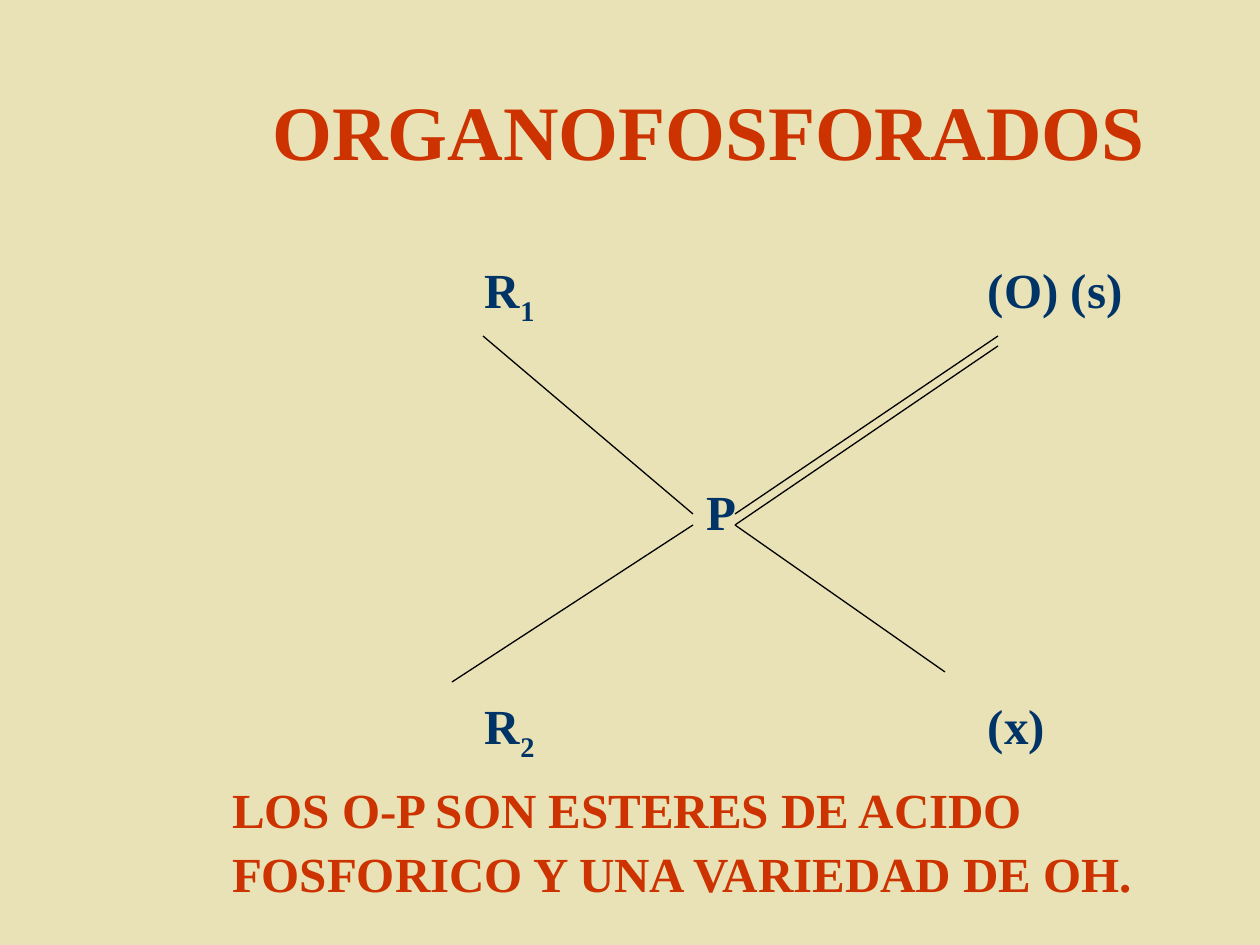
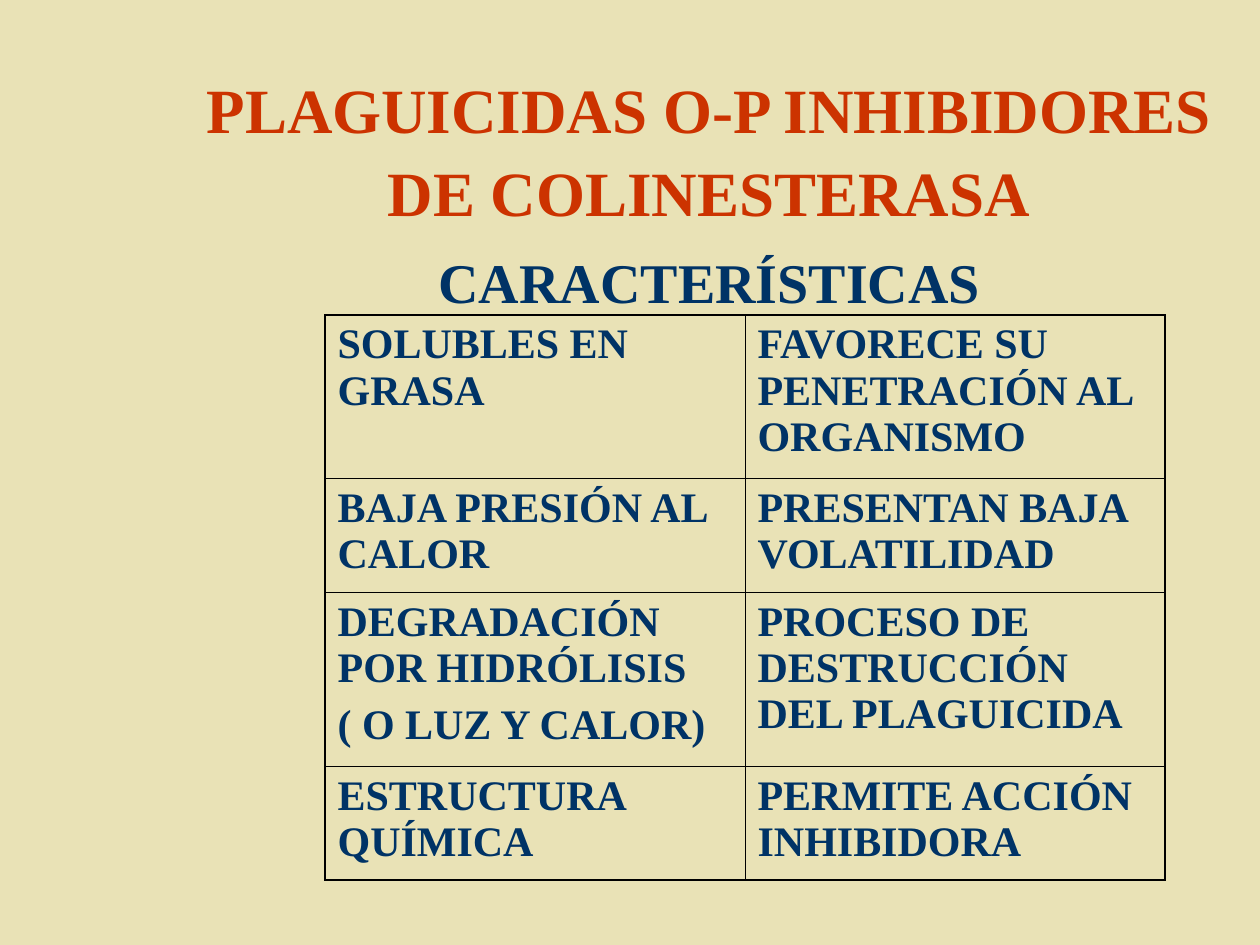
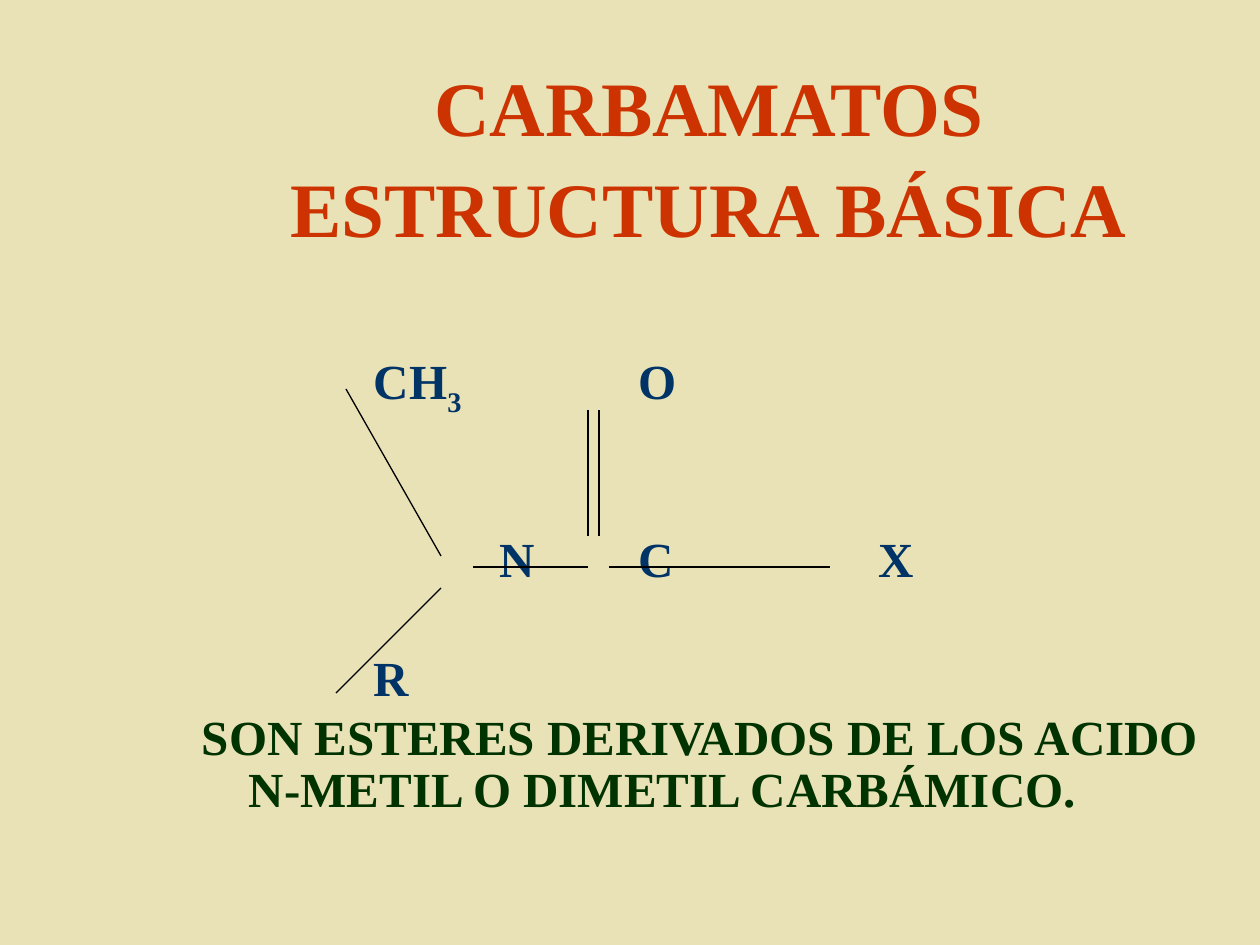
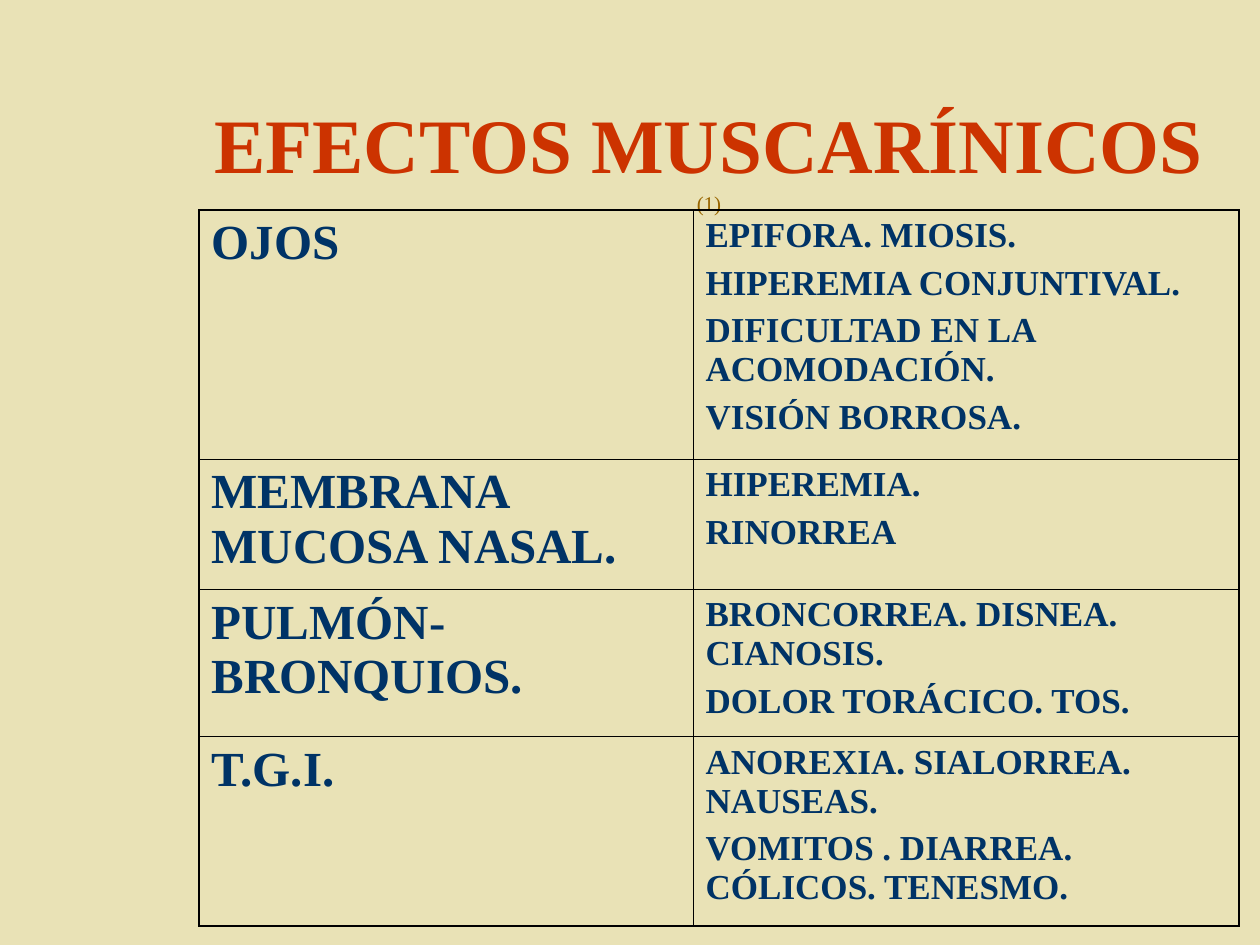
"""Build four slides on organophosphate and carbamate pesticides."""
from lxml.etree import SubElement
from pptx import Presentation
from pptx.dml.color import RGBColor
from pptx.enum.shapes import MSO_CONNECTOR
from pptx.enum.text import MSO_ANCHOR, PP_ALIGN
from pptx.oxml.ns import qn
from pptx.util import Emu, Pt

SCALE = 914400 / 126
FONT = "Times New Roman"
HEX = {
    "sand": "E9E2B6",
    "red": "CC3300",
    "navy": "003366",
    "green": "003300",
    "gold": "996600",
    "black": "000000",
}
THIN, THICK = 0.45, 1.08


def px(num):
    return Emu(round(num * SCALE))


def tint(name):
    return RGBColor.from_string(HEX[name])


def add_run(para, text, size, color="navy", bold=True, sub=False):
    run = para.add_run()
    run.text = text
    font = run.font
    font.name, font.size, font.bold = FONT, Pt(size), bold
    font.color.rgb = tint(color)
    if sub:
        run._r.get_or_add_rPr().set("baseline", "-25000")


def add_box(slide, left, top, width, height, pad=(0, 0), wrap=True):
    frame = slide.shapes.add_textbox(*map(px, (left, top, width, height))).text_frame
    frame.word_wrap = wrap
    frame.margin_left = frame.margin_right = px(pad[0])
    frame.margin_top = frame.margin_bottom = px(pad[1])
    return frame


def add_title(slide, lines, height, size=44, mark=None):
    frame = add_box(slide, 189, 73, 1040, height, (13, 6))
    frame.vertical_anchor = MSO_ANCHOR.MIDDLE
    para = frame.paragraphs[0]
    para.alignment = PP_ALIGN.CENTER
    para.line_spacing = 1.09
    for index, line in enumerate(lines):
        if index:
            para.add_line_break()
        add_run(para, line, size, "red")
    if mark:
        add_run(para, mark, 12, "gold", bold=False)


def add_atom(slide, left, top, text, sub=None):
    para = add_box(slide, left, top, 140, 60, wrap=False).paragraphs[0]
    add_run(para, text, 28)
    if sub:
        add_run(para, sub, 28, sub=True)


def add_note(slide, left, top, width, text, color, pitch, hang=0):
    para = add_box(slide, left, top, width, 120).paragraphs[0]
    para.line_spacing = pitch
    if hang:
        props = para._p.get_or_add_pPr()
        props.set("marL", str(px(hang)))
        props.set("indent", str(-px(hang)))
    add_run(para, text, 28, color)


def add_bond(slide, *ends):
    bond = slide.shapes.add_connector(MSO_CONNECTOR.STRAIGHT, *map(px, ends))
    bond.line.color.rgb = tint("black")
    bond.line.width = Pt(0.75)
    SubElement(bond._element.spPr, qn("a:effectLst"))


def add_edges(cell, edges):
    props = cell._tc.get_or_add_tcPr()
    for spot, (side, width) in enumerate(edges.items()):
        line = SubElement(props, qn("a:ln" + side), w=str(Pt(width)))
        fill = SubElement(line, qn("a:solidFill"))
        SubElement(fill, qn("a:srgbClr"), val=HEX["black"])
        props.insert(spot, line)


def add_grid(slide, left, top, cols, rows, data, sizes, gap):
    area = map(px, (left, top, sum(cols), sum(rows)))
    table = slide.shapes.add_table(len(rows), len(cols), *area).table
    table.first_row = table.horz_banding = False
    for col, width in zip(table.columns, cols):
        col.width = px(width)
    for row, height in zip(table.rows, rows):
        row.height = px(height)
    for r, texts in enumerate(data):
        for c, text in enumerate(texts):
            cell = table.cell(r, c)
            cell.fill.background()
            add_edges(cell, {
                "L": THIN if c else THICK,
                "R": THICK if c == len(cols) - 1 else THIN,
                "T": THIN if r else THICK,
                "B": THICK if r == len(rows) - 1 else THIN,
            })
            frame = cell.text_frame
            for index, line in enumerate(text.split("\n")):
                para = frame.add_paragraph() if index else frame.paragraphs[0]
                if index:
                    para.space_before = Pt(gap)
                add_run(para, line, sizes[c])


def add_phosphates(slide):
    add_title(slide, ["ORGANOFOSFORADOS"], 105)
    for atom in [
        (485, 260, "R", "1"),
        (988, 260, "(O) (s)"),
        (707, 482, "P"),
        (485, 696, "R", "2"),
        (988, 696, "(x)"),
    ]:
        add_atom(slide, *atom)
    add_note(slide, 232, 774, 1000,
             "LOS O-P SON ESTERES DE ACIDO FOSFORICO Y UNA VARIEDAD DE OH.",
             "red", 1.09)
    for bond in [
        (735, 525, 998, 346),
        (693, 525, 452, 682),
        (693, 514, 483, 336),
        (735, 514, 998, 336),
        (735, 525, 945, 672),
    ]:
        add_bond(slide, *bond)


def add_traits(slide):
    add_title(slide, ["PLAGUICIDAS O-P INHIBIDORES DE COLINESTERASA"], 147, 36)
    para = add_box(slide, 174, 242, 1071, 74, (13, 6)).paragraphs[0]
    para.alignment = PP_ALIGN.CENTER
    add_run(para, "CARACTERÍSTICAS", 32)
    data = [
        ("SOLUBLES EN GRASA", "FAVORECE SU PENETRACIÓN AL ORGANISMO"),
        ("BAJA PRESIÓN AL CALOR", "PRESENTAN BAJA VOLATILIDAD"),
        ("DEGRADACIÓN POR HIDRÓLISIS\n( O LUZ Y CALOR)",
         "PROCESO DE DESTRUCCIÓN DEL PLAGUICIDA"),
        ("ESTRUCTURA QUÍMICA", "PERMITE ACCIÓN INHIBIDORA"),
    ]
    add_grid(slide, 325, 315, (420, 420), (163, 113, 174, 113), data, (24, 24), 6)


def add_carbamates(slide):
    add_title(slide, ["CARBAMATOS", "ESTRUCTURA BÁSICA"], 158)
    for atom in [
        (374, 351, "CH", "3"),
        (639, 351, "O"),
        (500, 529, "N"),
        (639, 529, "C"),
        (879, 529, "X"),
        (374, 648, "R"),
    ]:
        add_atom(slide, *atom)
    add_note(slide, 202, 715, 1024,
             "SON ESTERES DERIVADOS DE LOS ACIDO N-METIL O DIMETIL CARBÁMICO.",
             "green", 0.87, 47)
    for bond in [
        (346, 389, 441, 556),
        (441, 588, 336, 693),
        (473, 567, 588, 567),
        (609, 567, 830, 567),
        (599, 410, 599, 536),
        (588, 410, 588, 536),
    ]:
        add_bond(slide, *bond)


def add_effects(slide):
    add_title(slide, ["EFECTOS MUSCARÍNICOS "], 158, mark="(1)")
    data = [
        ("OJOS", "EPIFORA. MIOSIS.\nHIPEREMIA CONJUNTIVAL.\n"
                 "DIFICULTAD EN LA ACOMODACIÓN.\nVISIÓN BORROSA."),
        ("MEMBRANA MUCOSA NASAL.", "HIPEREMIA.\nRINORREA"),
        ("PULMÓN-BRONQUIOS.",
         "BRONCORREA. DISNEA. CIANOSIS.\nDOLOR TORÁCICO. TOS."),
        ("T.G.I.", "ANOREXIA. SIALORREA. NAUSEAS.\n"
                   "VOMITOS . DIARREA. CÓLICOS. TENESMO."),
    ]
    add_grid(slide, 199, 210, (494, 546), (247, 130, 147, 189), data, (28, 20), 5)


def main():
    deck = Presentation()
    deck.slide_width, deck.slide_height = px(1260), px(945)
    fill = deck.slide_master.background.fill
    fill.solid()
    fill.fore_color.rgb = tint("sand")
    for build in (add_phosphates, add_traits, add_carbamates, add_effects):
        build(deck.slides.add_slide(deck.slide_layouts[6]))
    deck.save("out.pptx")


if __name__ == "__main__":
    main()
